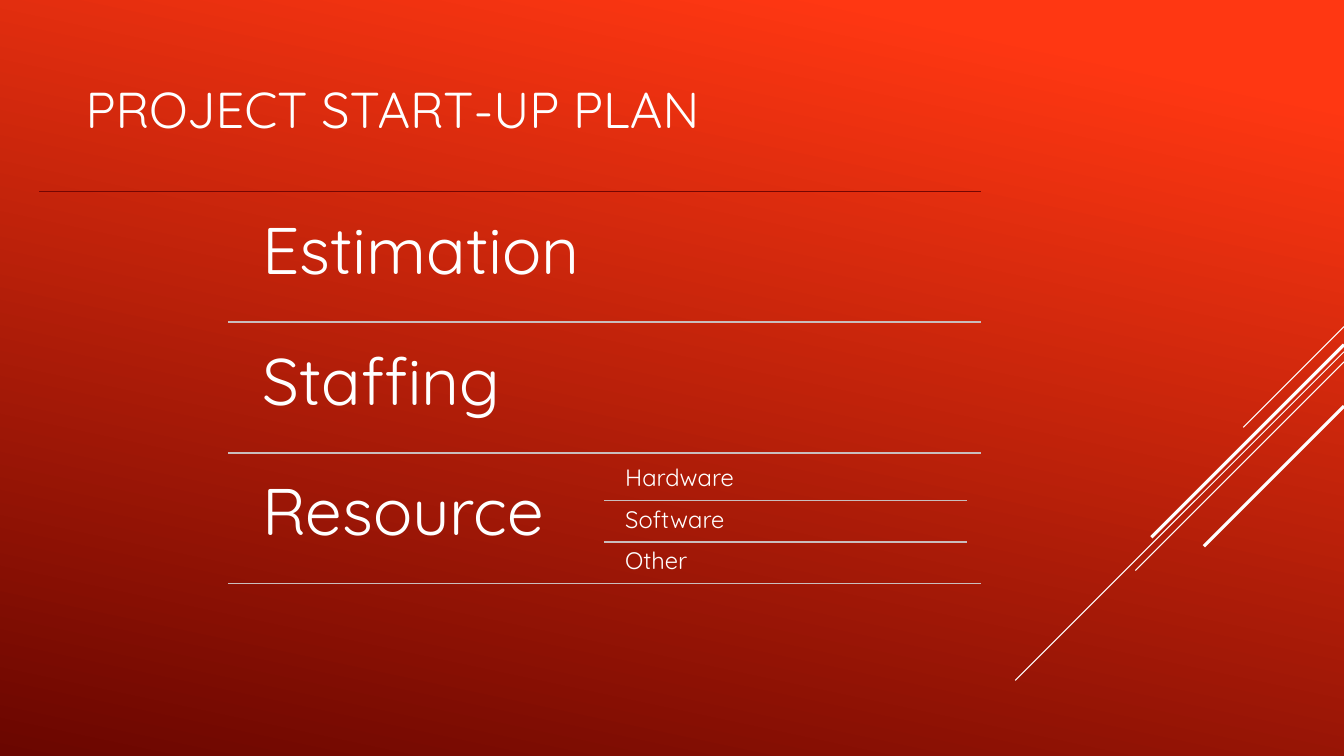
"""Build the project start-up plan slide: phases split by rules, with resource types nested."""
from dataclasses import dataclass

from lxml import etree
from pptx import Presentation
from pptx.dml.color import RGBColor
from pptx.enum.shapes import MSO_CONNECTOR
from pptx.enum.text import MSO_ANCHOR, MSO_AUTO_SIZE, PP_ALIGN
from pptx.oxml.ns import qn
from pptx.util import Inches, Pt

STRAIGHT = MSO_CONNECTOR.STRAIGHT
TOP, MIDDLE = MSO_ANCHOR.TOP, MSO_ANCHOR.MIDDLE
NO_FIT = MSO_AUTO_SIZE.NONE
LEFT = PP_ALIGN.LEFT

HEADING = "PROJECT START-UP PLAN"
PHASES = {
    "Estimation": [],
    "Staffing": [],
    "Resource": ["Hardware", "Software", "Other"],
}
SLIDE_W, SLIDE_H = 13.33, 7.5
RAYS = [
    (3.24, 1.0, 0.75),
    (3.49, 3.26, 0.75),
    (3.59, 2.07, 0.75),
    (3.42, 1.91, 2.25),
    (4.03, 1.39, 2.25),
]


@dataclass(frozen=True)
class Theme:
    font: str = "Quicksand"
    text: str = "FFFFFF"
    top_rule: str = "760603"
    rule: str = "CABDBD"
    backdrop: tuple = ((0.1, "FF3712"), (1.0, "6A0600"))
    backdrop_angle: int = 102
    heading_size: int = 36
    phase_size: int = 47
    item_size: int = 17
    rule_width: float = 1.25


THEME = Theme()


def apply(target, formats):
    for attribute, value in formats.items():
        setattr(target, attribute, value)


def draw_line(start, end, color, width):
    line = slide.shapes.add_connector(STRAIGHT, *map(Inches, start + end))
    line.line.color.rgb = RGBColor.from_string(color)
    line.line.width = Pt(width)
    etree.SubElement(line._element.spPr, qn("a:effectLst"))


def draw_rule(left, right, y, color=THEME.rule):
    draw_line((left, y), (right, y), color, THEME.rule_width)


def write(holder, text, size, anchor, spacing, inset_x, inset_y):
    frame = holder.text_frame
    apply(frame, {
        "text": text, "word_wrap": True, "auto_size": NO_FIT,
        "vertical_anchor": anchor,
        "margin_left": Inches(inset_x), "margin_right": Inches(inset_x),
        "margin_top": Inches(inset_y), "margin_bottom": Inches(inset_y),
    })
    paragraph = frame.paragraphs[0]
    apply(paragraph, {"alignment": LEFT, "line_spacing": spacing})
    font = paragraph.runs[0].font
    apply(font, {"name": THEME.font, "size": Pt(size)})
    font.color.rgb = RGBColor.from_string(THEME.text)


def write_box(text, left, top, width, height, size, inset):
    box = slide.shapes.add_textbox(*map(Inches, (left, top, width, height)))
    write(box, text, size, TOP, 0.9, inset, inset)


prs = Presentation()
apply(prs, {"slide_width": Inches(SLIDE_W), "slide_height": Inches(SLIDE_H)})
slide = prs.slides.add_slide(prs.slide_layouts.get_by_name("Title Only"))

backdrop = slide.background.fill
backdrop.gradient()
backdrop.gradient_angle = 360 - THEME.backdrop_angle
for stop, (position, color) in zip(backdrop.gradient_stops, THEME.backdrop):
    stop.position = position
    stop.color.rgb = RGBColor.from_string(color)

for ray_top, reach, ray_width in RAYS:
    draw_line((SLIDE_W, ray_top), (SLIDE_W - reach, ray_top + reach), THEME.text, ray_width)

heading = slide.shapes.title
apply(heading, {"left": Inches(0.75), "top": Inches(0.25),
                "width": Inches(9.33), "height": Inches(1.65)})
write(heading, HEADING, THEME.heading_size, MIDDLE, 1.0, 0.1, 0.05)

PLAN_TOP, PLAN_BOTTOM, PLAN_RIGHT = 1.9, 5.79, 9.73
PHASE_LEFT, ITEM_LEFT, COLUMN_W = 2.4, 6.13, 3.59
RULE_OUTDENT, ROW_GAP = 0.14, 0.06
row_pitch = (PLAN_BOTTOM - PLAN_TOP) / len(PHASES)
row_height = row_pitch - ROW_GAP

draw_rule(0.39, PLAN_RIGHT, PLAN_TOP, THEME.top_rule)
for row, (phase, items) in enumerate(PHASES.items()):
    row_top = PLAN_TOP + row * row_pitch + ROW_GAP
    row_bottom = row_top + row_height
    write_box(phase, PHASE_LEFT, row_top, COLUMN_W, row_height, THEME.phase_size, 0.2)
    for index, item in enumerate(items):
        item_height = row_height / len(items)
        item_top = row_top + index * item_height
        write_box(item, ITEM_LEFT, item_top, COLUMN_W, item_height, THEME.item_size, 0.07)
        if index:
            draw_rule(ITEM_LEFT - RULE_OUTDENT, PLAN_RIGHT - RULE_OUTDENT, item_top)
    draw_rule(PHASE_LEFT - RULE_OUTDENT, PLAN_RIGHT, row_bottom)

prs.save("out.pptx")
